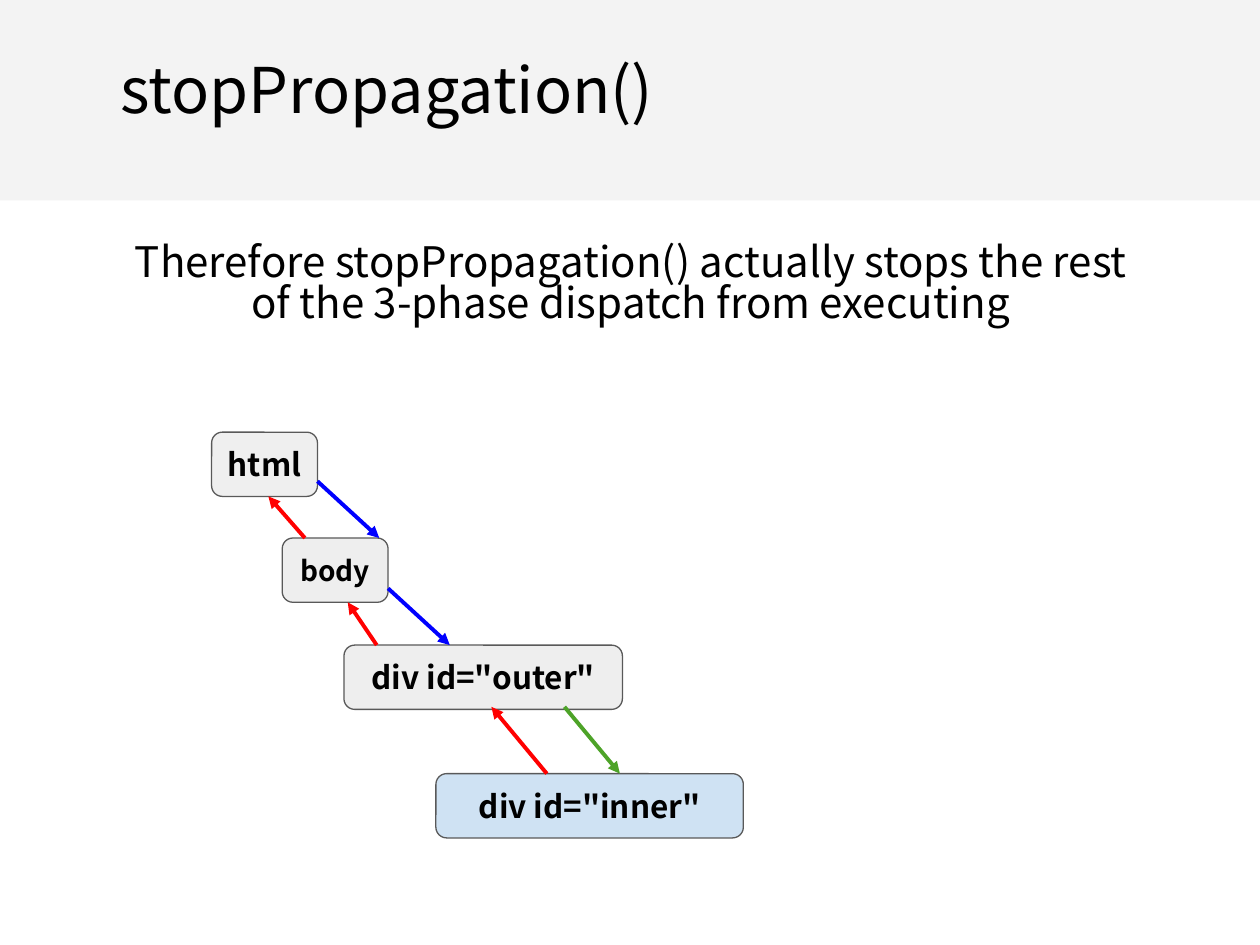
from lxml import etree
from pptx import Presentation
from pptx import util as u
from pptx.dml.color import RGBColor
from pptx.enum import shapes, text
from pptx.oxml.ns import qn

FONT = "Noto Sans CJK SC"


def color(value):
    return RGBColor.from_string(value)


class Page:
    """Holds the style and the current slide."""

    outline = "595959"
    ink = "000000"
    inset = 0.1

    def __init__(self, deck):
        self.shapes = deck.slides.add_slide(deck.slide_layouts[6]).shapes

    def fill_text(self, shape, words, size, bold=False, spacing=None, top=None, **layout):
        frame = shape.text_frame
        margin = u.Inches(self.inset)
        settings = {
            "word_wrap": True,
            "margin_left": margin,
            "margin_right": margin,
            "margin_top": margin if top is None else u.Inches(top),
            "margin_bottom": margin,
            "vertical_anchor": layout.get("anchor", text.MSO_ANCHOR.TOP),
        }
        for name, value in settings.items():
            setattr(frame, name, value)
        para = frame.paragraphs[0]
        para.alignment = layout.get("align", text.PP_ALIGN.LEFT)
        para.line_spacing = spacing
        span = para.add_run()
        span.text = words
        for name, value in {"name": FONT, "size": u.Pt(size), "bold": bold}.items():
            setattr(span.font, name, value)
        span.font.color.rgb = color(self.ink)

    def band(self, width, height, fill):
        shape = self.shapes.add_shape(
            shapes.MSO_SHAPE.RECTANGLE, 0, 0, u.Inches(width), u.Inches(height))
        shape.shadow.inherit = False
        shape.fill.solid()
        shape.fill.fore_color.rgb = color(fill)
        shape.line.fill.background()

    def label(self, place, words, size, **options):
        box = self.shapes.add_textbox(*map(u.Inches, place))
        self.fill_text(box, words, size, **options)

    def node(self, place, words, fill, size=18):
        box = self.shapes.add_shape(
            shapes.MSO_SHAPE.ROUNDED_RECTANGLE, *map(u.Inches, place))
        box.shadow.inherit = False
        box.fill.solid()
        box.fill.fore_color.rgb = color(fill)
        box.line.color.rgb = color(self.outline)
        box.line.width = u.Pt(0.75)
        self.fill_text(box, words, size, bold=True,
                       align=text.PP_ALIGN.CENTER, anchor=text.MSO_ANCHOR.MIDDLE)

    def arrow(self, start, end, stroke):
        line = self.shapes.add_connector(
            shapes.MSO_CONNECTOR.STRAIGHT, *map(u.Inches, (*start, *end)))
        line.line.color.rgb = color(stroke)
        line.line.width = u.Pt(2.25)
        properties = line._element.spPr
        etree.SubElement(properties.find(qn("a:ln")), qn("a:tailEnd"), type="triangle")
        etree.SubElement(properties, qn("a:effectLst"))


def main():
    deck = Presentation()
    deck.slide_width, deck.slide_height = u.Inches(10), u.Inches(7.5)
    page = Page(deck)

    # Heading and statement
    page.band(10, 1.59, "F3F3F3")
    page.label((0.86, 0.38, 8.29, 0.83), "stopPropagation()", 36, spacing=0.88)
    page.label(
        (0.86, 1.8, 8.29, 1.46),
        "Therefore stopPropagation() actually stops the rest "
        "of the 3-phase dispatch from executing",
        24, spacing=0.82, top=0.14, align=text.PP_ALIGN.CENTER)

    # Element tree
    height = 0.51
    page.node((3.46, 6.14, 2.44, height), 'div id="inner"', "CFE2F3")
    page.node((1.68, 3.43, 0.84, height), "html", "EFEFEF")
    page.node((2.24, 4.27, 0.84, height), "body", "EEEEEE", size=16)
    page.node((2.73, 5.12, 2.21, height), 'div id="outer"', "EEEEEE")

    # Event phases: capture, target, bubble
    phases = {
        "0000FF": [((2.52, 3.82), (3.01, 4.27)), ((3.08, 4.67), (3.57, 5.12))],
        "4DA328": [((4.48, 5.61), (4.92, 6.14))],
        "FF0000": [((2.42, 4.27), (2.13, 3.94)), ((2.99, 5.12), (2.76, 4.78)),
                   ((4.34, 6.14), (3.9, 5.61))],
    }
    for stroke, arrows in phases.items():
        for start, end in arrows:
            page.arrow(start, end, stroke)

    deck.save("out.pptx")


if __name__ == "__main__":
    main()
